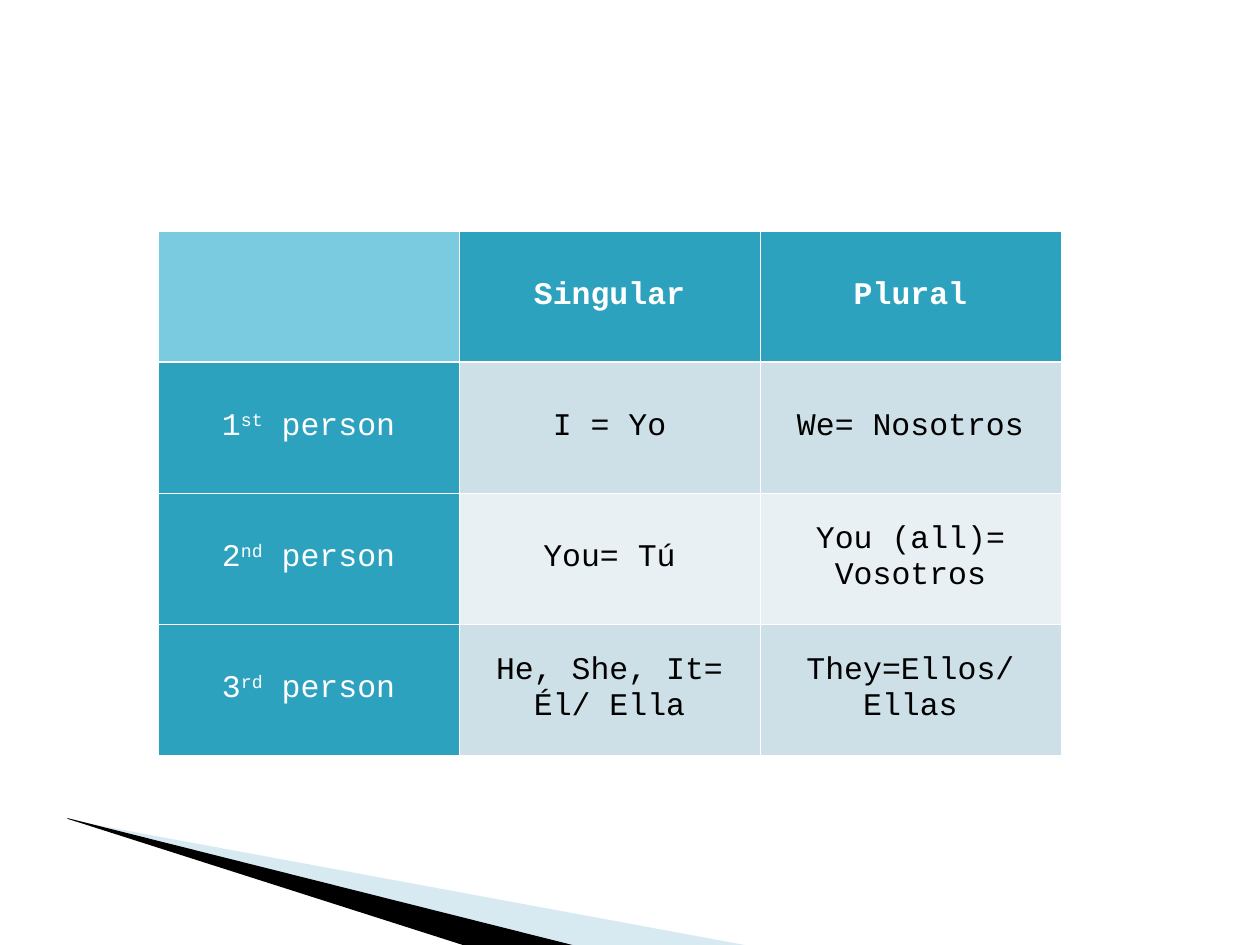
from lxml.etree import SubElement
from pptx import Presentation
from pptx.dml.color import RGBColor
from pptx.enum.text import MSO_ANCHOR, PP_ALIGN
from pptx.oxml import parse_xml
from pptx.oxml.ns import nsdecls, qn
from pptx.util import Pt

PX = 914400 / 126


def px(length):
    return round(length * PX)


def paint(fill, color):
    fill.solid()
    fill.fore_color.rgb = RGBColor.from_string(color)


presentation = Presentation()
presentation.slide_width = px(1260)
presentation.slide_height = px(945)
slide = presentation.slides.add_slide(presentation.slide_layouts[6])

wedges = [
    ("9FCBDC", 40, [(69, 820), (750, 946), (575, 946), (69, 819)]),
    ("000000", 100, [(67, 818), (576, 946), (469, 947), (68, 819)]),
]
for color, opacity, points in wedges:
    builder = slide.shapes.build_freeform(*points[0], scale=PX)
    builder.add_line_segments(points[1:], close=True)
    wedge = builder.convert_to_shape()
    wedge.shadow.inherit = False
    wedge.line.fill.background()
    paint(wedge.fill, color)
    if opacity < 100:
        tint = wedge._element.spPr.find(qn("a:solidFill"))[0]
        SubElement(tint, qn("a:alpha")).set("val", str(opacity * 1000))

pronouns = [
    [("",), ("Singular",), ("Plural",)],
    [("1", "st", " person"), ("I = Yo",), ("We= Nosotros",)],
    [("2", "nd", " person"), ("You= Tú",), ("You (all)= Vosotros",)],
    [("3", "rd", " person"), ("He, She, It= Él/ Ella",), ("They=Ellos/ Ellas",)],
]
grid = slide.shapes.add_table(4, 3, px(158), px(231), px(903), px(524)).table
for column in grid.columns:
    column.width = px(301)
for row in grid.rows:
    row.height = px(131)

for r, entries in enumerate(pronouns):
    for c, parts in enumerate(entries):
        cell = grid.cell(r, c)
        heading = r == 0 or c == 0
        if r == c == 0:
            background = "7ACBE0"
        elif heading:
            background = "2DA2BF"
        else:
            background = "CDE0E8" if r % 2 else "E8F0F4"
        paint(cell.fill, background)
        cell.vertical_anchor = MSO_ANCHOR.MIDDLE

        paragraph = cell.text_frame.paragraphs[0]
        paragraph.alignment = PP_ALIGN.CENTER
        for i, part in enumerate(parts):
            run = paragraph.add_run()
            run.text = part
            run.font.name = "Courier New"
            run.font.size = Pt(18)
            run.font.bold = r == 0
            paint(run.font.fill, "FFFFFF" if heading else "000000")
            if i == 1:
                run.font._element.set("baseline", "30000")

        for i, side in enumerate("LRTB"):
            thick = (r, side) in [(0, "B"), (1, "T")]
            border = parse_xml(
                f'<a:ln{side} {nsdecls("a")} w="{Pt(1.47 if thick else 0.45)}">'
                '<a:solidFill><a:srgbClr val="FFFFFF"/></a:solidFill>'
                f"</a:ln{side}>"
            )
            cell._tc.get_or_add_tcPr().insert(i, border)

presentation.save("out.pptx")
